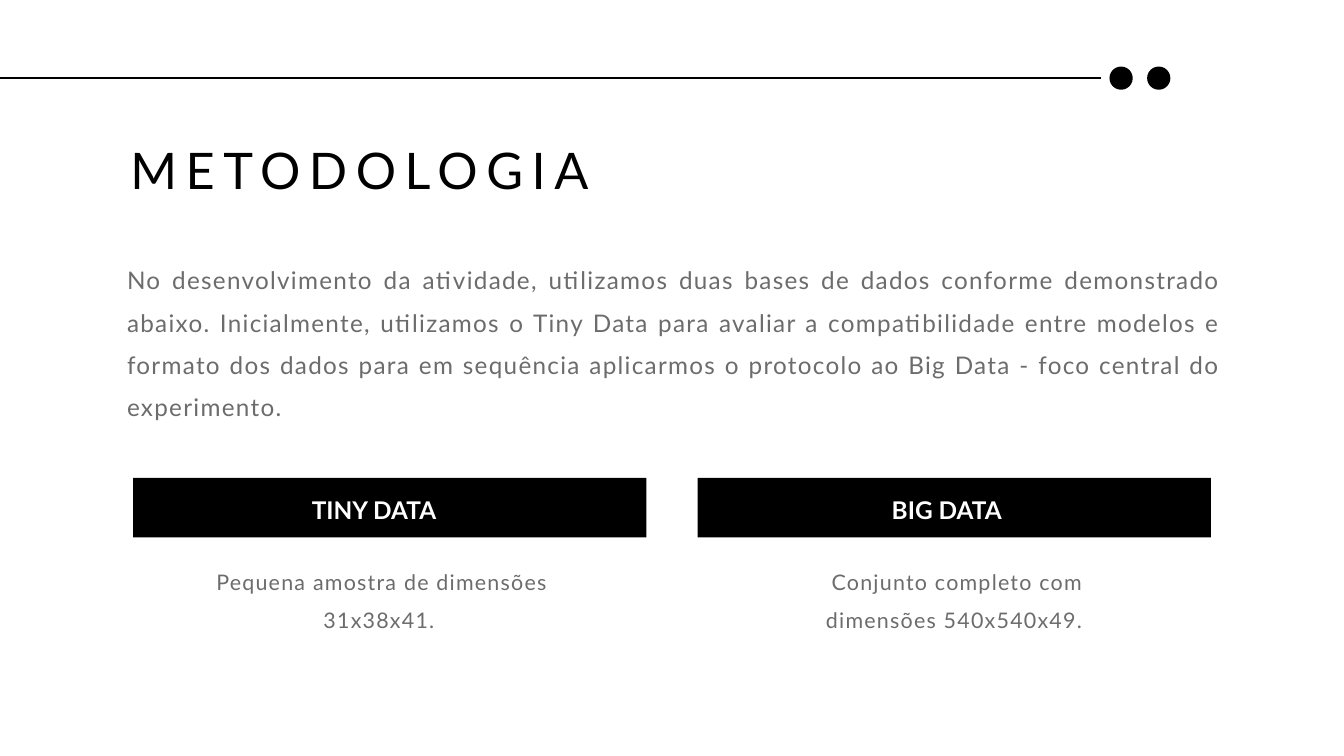
from pptx import Presentation
from pptx.dml.color import RGBColor
from pptx.enum.shapes import MSO_CONNECTOR, MSO_SHAPE
from pptx.enum.text import PP_ALIGN
from pptx.oxml.ns import qn
from pptx.util import Inches, Pt
from lxml import etree

LEFT, CENTER, JUSTIFY = PP_ALIGN.LEFT, PP_ALIGN.CENTER, PP_ALIGN.JUSTIFY
RECT, OVAL = MSO_SHAPE.RECTANGLE, MSO_SHAPE.OVAL
BLACK, WHITE, GREY = (RGBColor.from_string(c) for c in ("000000", "FFFFFF", "6C6C6C"))

prs = Presentation()
prs.slide_width, prs.slide_height = Inches(20), Inches(11.25)
COL, ROW = prs.slide_width / 100, prs.slide_height / 100
s = prs.slides.add_slide(prs.slide_layouts[6])


def add_block(kind, x, y, w, h):
    """Add a solid black shape, measured in columns and rows."""
    sp = s.shapes.add_shape(kind, int(x * COL), int(y * ROW), int(w * COL), int(h * ROW))
    sp.shadow.inherit = False
    sp.fill.solid()
    sp.fill.fore_color.rgb = BLACK
    sp.line.fill.background()


def add_text(text, x, y, w, h, size, leading, color, align, spacing=0, bold=False):
    """Add a one-paragraph text box; spacing is the letter gap in points."""
    tf = s.shapes.add_textbox(int(x * COL), int(y * ROW), int(w * COL), int(h * ROW)).text_frame
    tf.word_wrap = True
    tf.margin_left = tf.margin_right = tf.margin_top = tf.margin_bottom = 0
    p = tf.paragraphs[0]
    p.alignment, p.line_spacing = align, Pt(leading)
    r = p.add_run()
    r.text = text
    f = r.font
    f.name, f.size, f.bold, f.color.rgb = "Lato", Pt(size), bold, color
    if spacing:
        r._r.get_or_add_rPr().set("spc", str(round(spacing * 100)))


# Top rule with two dots
rule_y = int(10.33 * ROW)
rule = s.shapes.add_connector(MSO_CONNECTOR.STRAIGHT, int(-7.3 * COL), rule_y, int(81.9 * COL), rule_y)
rule.line.color.rgb = BLACK
rule.line.width = Pt(3)
etree.SubElement(rule._element.spPr, qn("a:effectLst"))
for i in range(2):
    add_block(OVAL, 82.55 + 2.8 * i, 8.8, 1.73, 3.07)

# Title and introduction
add_text("METODOLOGIA", 9.7, 19.2, 44.4, 7.4, 54, 58.3, BLACK, JUSTIFY, 9.2)
add_text("No desenvolvimento da atividade, utilizamos duas bases de dados conforme demonstrado "
         "abaixo. Inicialmente, utilizamos o Tiny Data para avaliar a compatibilidade entre "
         "modelos e formato dos dados para em sequência aplicarmos o protocolo ao Big Data - "
         "foco central do experimento.",
         9.45, 33.4, 81.45, 21.8, 26, 45.2, GREY, JUSTIFY, 1.4)

# One column per data set: label, label position and width, caption
datasets = [
    ("TINY DATA", 23.2, 21.25, " Pequena amostra de dimensões 31x38x41."),
    ("BIG DATA", 66.35, 15.75, " Conjunto completo com dimensões 540x540x49."),
]
for i, (label, label_x, label_w, caption) in enumerate(datasets):
    add_block(RECT, 9.9 + 42 * i, 63.2, 38.2, 7.9)
    add_text(label, label_x, 64.8, label_w, 4.3, 26.1, 36.5, WHITE, LEFT, bold=True)
    add_text(caption, 14.7 + 42.8 * i, 73.8, 27, 9.5, 23, 40, GREY, CENTER, 1.3)

prs.save("out.pptx")
